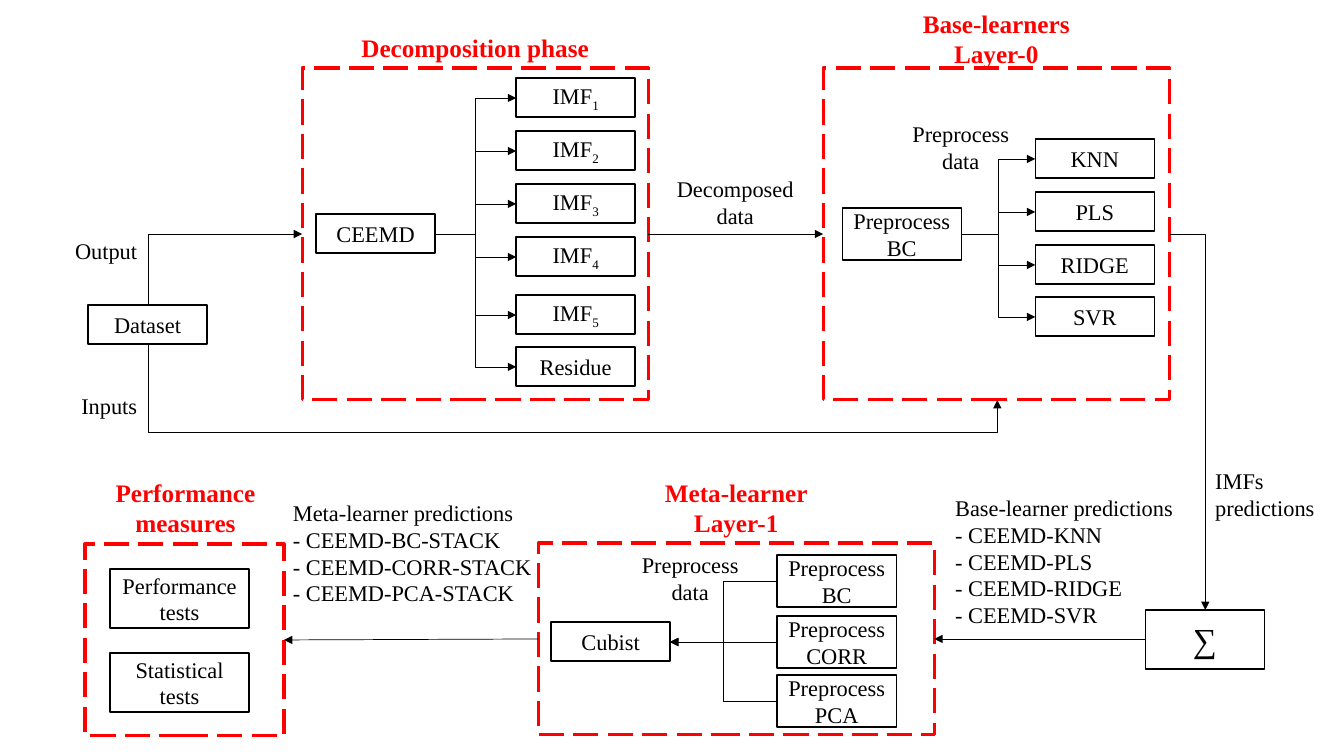
from lxml.etree import SubElement
from pptx import Presentation
from pptx.dml.color import RGBColor
from pptx.enum.dml import MSO_LINE
from pptx.enum.shapes import MSO_CONNECTOR, MSO_SHAPE
from pptx.enum.text import MSO_ANCHOR, MSO_AUTO_SIZE, PP_ALIGN
from pptx.oxml.ns import qn
from pptx.util import Emu, Inches, Pt

SCALE = 914400 / 100.8
FONT = "Times New Roman"
COLORS = {"ink": "000000", "phase": "FF0000"}
WIDE, LOW, TALL, BIG = 119, 39, 52, 59
AXIS = 234
LEFT, MID, RIGHT, JUST = (PP_ALIGN.LEFT, PP_ALIGN.CENTER,
                          PP_ALIGN.RIGHT, PP_ALIGN.JUSTIFY)


def px(*vals):
    return [Emu(round(val * SCALE)) for val in vals]


def color(name):
    return RGBColor.from_string(COLORS[name])


def style(frame, size, name="ink", bold=False, align=MID):
    frame.word_wrap = True
    for para in frame.paragraphs:
        para.alignment = align
        for run in para.runs:
            run.font.name = FONT
            run.font.size = Pt(size)
            run.font.bold = bold
            run.font.color.rgb = color(name)


def rect(slide, x, y, w, h, name, width):
    shape = slide.shapes.add_shape(MSO_SHAPE.RECTANGLE, *px(x, y, w, h))
    shape.shadow.inherit = False
    shape.fill.background()
    shape.line.color.rgb = color(name)
    shape.line.width = Pt(width)
    return shape


def box(slide, text, x, y, w=WIDE, h=LOW, size=16, sub=None):
    frame = rect(slide, x, y, w, h, "ink", 1).text_frame
    frame.text = text
    frame.vertical_anchor = MSO_ANCHOR.MIDDLE
    if sub:
        run = frame.paragraphs[0].add_run()
        run.text = str(sub)
        run.font._element.set("baseline", "-25000")
    style(frame, size)


def phase(slide, x, y, w, h):
    rect(slide, x, y, w, h, "phase", 2.25).line.dash_style = MSO_LINE.LONG_DASH


def label(slide, text, x, y, w, h, align=MID):
    frame = slide.shapes.add_textbox(*px(x, y, w, h)).text_frame
    frame.text = text
    frame.auto_size = MSO_AUTO_SIZE.SHAPE_TO_FIT_TEXT
    style(frame, 16, align=align)


def title(slide, text, x, y, w, h):
    frame = slide.shapes.add_textbox(*px(x, y, w, h)).text_frame
    frame.text = text
    frame.auto_size = MSO_AUTO_SIZE.SHAPE_TO_FIT_TEXT
    style(frame, 18, "phase", True)


def arrow(slide, start, end, kind=MSO_CONNECTOR.STRAIGHT, tip="tailEnd"):
    link = slide.shapes.add_connector(kind, *px(*start, *end))
    link.line.color.rgb = color("ink")
    link.line.width = Pt(0.5)
    props = link.element.spPr
    SubElement(props.find(qn("a:ln")), qn("a:" + tip), type="triangle")
    SubElement(props, qn("a:effectLst"))
    return props


def elbow(slide, start, end):
    arrow(slide, start, end, MSO_CONNECTOR.ELBOW)


def corner(slide, start, end, tip="tailEnd"):
    """Run level from start, then upright to end."""
    props = arrow(slide, start, end, MSO_CONNECTOR.ELBOW, tip)
    props.find(qn("a:prstGeom")).set("prst", "bentConnector2")


def under(slide, start, end, depth):
    """Drop from start to depth, run level, then rise to end."""
    (x1, y1), (x2, y2) = start, end
    midx, midy = (x1 + x2) / 2, (y1 + y2) / 2
    w, h = y2 - y1, x2 - x1
    props = arrow(slide, (midx + w / 2, midy - h / 2),
                  (midx - w / 2, midy + h / 2), MSO_CONNECTOR.ELBOW)
    props.find(qn("a:xfrm")).set("rot", "16200000")
    bend = round((depth - y1) / w * 100000)
    SubElement(props.find(qn("a:prstGeom")).find(qn("a:avLst")),
               qn("a:gd"), name="adj1", fmla=f"val {bend}")


def decompose(slide):
    box(slide, "Dataset", 88, 305)
    box(slide, "CEEMD", 316, 214)
    for num, y in enumerate((78, 131, 184, 237, 295, 347), 1):
        if num < 6:
            box(slide, "IMF", 516, y, sub=num)
        else:
            box(slide, "Residue", 516, y)
        elbow(slide, (435, AXIS), (516, y + 20))
    phase(slide, 302, 68, 346, 332)
    title(slide, "Decomposition phase", 302, 27, 346, 40)
    corner(slide, (302, AXIS), (148, 305), "headEnd")
    arrow(slide, (648, AXIS), (823, AXIS))
    label(slide, "Output", 61, 232, 86, 37, RIGHT)
    label(slide, "Inputs", 54, 387, 93, 37, RIGHT)
    label(slide, "Decomposed data", 648, 170, 174, 64)


def learn(slide):
    box(slide, "Preprocess BC", 842, 208, h=TALL)
    for name, y in zip(("KNN", "PLS", "RIDGE", "SVR"), (139, 192, 245, 297)):
        box(slide, name, 1035, y)
        elbow(slide, (961, AXIS), (1035, y + 20))
    phase(slide, 823, 68, 346, 332)
    title(slide, "Base-learners\vLayer-0", 823, 3, 346, 71)
    under(slide, (148, 345), (997, 400), 432)
    corner(slide, (1170, AXIS), (1205, 610))
    label(slide, "Preprocess data", 901, 115, WIDE, 64)
    label(slide, "IMFs predictions", 1205, 462, 136, 64, JUST)


def stack(slide):
    box(slide, "\u2211", 1145, 610, h=BIG, size=24)
    box(slide, "Cubist", 551, 622)
    for name, y in (("BC", 555), ("CORR", 616), ("PCA", 675)):
        box(slide, f"Preprocess {name}", 777, y, h=TALL)
        mid = y + TALL / 2
        link = arrow if mid == 642 else elbow
        link(slide, (777, mid), (670, 642))
    phase(slide, 538, 543, 396, 192)
    title(slide, "Meta-learner\vLayer-1", 538, 472, 396, 71)
    arrow(slide, (1145, 639), (934, 639))
    label(slide, "Preprocess data", 630, 546, 120, 64)
    models = [f"- CEEMD-{name}" for name in ("KNN", "PLS", "RIDGE", "SVR")]
    label(slide, "\n".join(["Base-learner predictions", *models]),
          945, 489, 248, 146, JUST)


def measure(slide):
    for name, y in (("Performance", 569), ("Statistical", 653)):
        box(slide, f"{name} tests", 110, y, 139, BIG)
    phase(slide, 85, 544, 199, 192)
    title(slide, "Performance measures", 86, 472, 199, 71)
    arrow(slide, (538, 639), (284, 640))
    stacks = [f"- CEEMD-{name}-STACK" for name in ("BC", "CORR", "PCA")]
    label(slide, "\n".join(["Meta-learner predictions", *stacks]),
          283, 494, 272, 119, JUST)


def main():
    deck = Presentation()
    deck.slide_width, deck.slide_height = Inches(13.33), Inches(7.5)
    slide = deck.slides.add_slide(deck.slide_layouts[6])
    decompose(slide)
    learn(slide)
    stack(slide)
    measure(slide)
    deck.save("out.pptx")


main()
